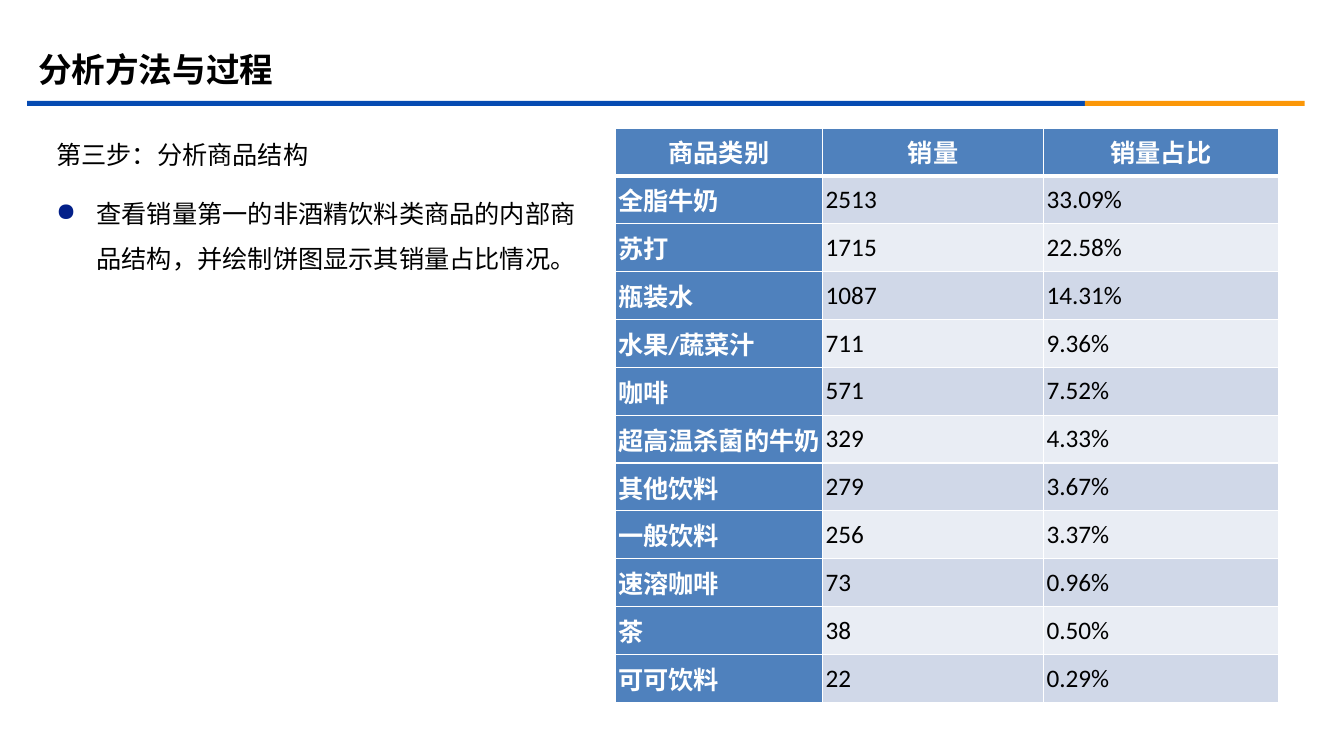
"""Builds the slide on the sales structure of the drinks category."""
from lxml.etree import SubElement
from pptx import Presentation
from pptx.dml.color import RGBColor
from pptx.enum.shapes import MSO_SHAPE
from pptx.enum.text import MSO_ANCHOR, PP_ALIGN
from pptx.oxml.ns import qn
from pptx.util import Inches, Pt

TITLE = "分析方法与过程"
STEP = "第三步：分析商品结构"
TASK = "查看销量第一的非酒精饮料类商品的内部商品结构，并绘制饼图显示其销量占比情况。"
SALES = [
    ("商品类别", "销量", "销量占比"),
    ("全脂牛奶", "2513", "33.09%"),
    ("苏打", "1715", "22.58%"),
    ("瓶装水", "1087", "14.31%"),
    ("水果/蔬菜汁", "711", "9.36%"),
    ("咖啡", "571", "7.52%"),
    ("超高温杀菌的牛奶", "329", "4.33%"),
    ("其他饮料", "279", "3.67%"),
    ("一般饮料", "256", "3.37%"),
    ("速溶咖啡", "73", "0.96%"),
    ("茶", "38", "0.50%"),
    ("可可饮料", "22", "0.29%"),
]
COL_WIDTHS = (2.06, 2.19, 2.33)
TABLE_LEFT, TABLE_TOP, TABLE_HEIGHT = 6.1, 1.27, 5.7
RULES = [(0.27, 10.49, "064BB2"), (10.76, 2.18, "FB9708")]
HEAD_FILL, BANDS = "4F81BD", ("E9EDF4", "D0D8E8")
CJK = "Noto Sans CJK SC"


def rgb(value):
    return RGBColor.from_string(value)


def write(p, text, size=18, font=CJK, color="000000", bold=False,
          align=None, spacing=None, before=None):
    r = p.add_run()
    r.text = text
    r.font.size, r.font.bold, r.font.name = Pt(size), bold, font
    r.font.color.rgb = rgb(color)
    SubElement(r._r.get_or_add_rPr(), qn("a:ea"), typeface=CJK)
    p.alignment, p.line_spacing = align, spacing
    if before is not None:
        p.space_before = Pt(before)


def add_box(s, left, top, width, height, anchor):
    tf = s.shapes.add_textbox(*map(Inches, (left, top, width, height))).text_frame
    tf.word_wrap, tf.vertical_anchor = True, anchor
    return tf


def add_bullet(p, char, color, indent):
    pPr = p._p.get_or_add_pPr()
    pPr.set("marL", str(Inches(indent)))
    pPr.set("indent", str(-Inches(indent)))
    clr = SubElement(pPr, qn("a:buClr"))
    SubElement(clr, qn("a:srgbClr"), val=color)
    SubElement(pPr, qn("a:buChar"), char=char)


def add_borders(cell, **widths):
    for side, width in widths.items():
        ln = SubElement(cell._tc.get_or_add_tcPr(), qn(f"a:ln{side}"), w=str(Pt(width)))
        SubElement(SubElement(ln, qn("a:solidFill")), qn("a:srgbClr"), val="FFFFFF")


def add_sales_table(s):
    frame = s.shapes.add_table(len(SALES), len(COL_WIDTHS), Inches(TABLE_LEFT),
                               Inches(TABLE_TOP), Inches(sum(COL_WIDTHS)),
                               Inches(TABLE_HEIGHT))
    table = frame.table
    for col, width in zip(table.columns, COL_WIDTHS):
        col.width = Inches(width)
    for i, row in enumerate(SALES):
        table.rows[i].height = Inches(TABLE_HEIGHT / len(SALES))
        for j, text in enumerate(row):
            cell = table.cell(i, j)
            head = i == 0 or j == 0
            cell.margin_left = cell.margin_right = Inches(0.03)
            cell.margin_top = cell.margin_bottom = 0
            cell.vertical_anchor = MSO_ANCHOR.MIDDLE
            add_borders(cell, L=1, R=1, T=3 if i == 1 else 1, B=3 if i == 0 else 1)
            cell.fill.solid()
            cell.fill.fore_color.rgb = rgb(HEAD_FILL if head else BANDS[i % 2])
            write(cell.text_frame.paragraphs[0], text, font="Calibri", bold=head,
                  color="FFFFFF" if head else "000000",
                  align=PP_ALIGN.JUSTIFY if i else PP_ALIGN.CENTER)


def main():
    prs = Presentation()
    prs.slide_width, prs.slide_height = Inches(13.33), Inches(7.5)
    s = prs.slides.add_slide(prs.slide_layouts[6])
    for left, width, color in RULES:
        sp = s.shapes.add_shape(MSO_SHAPE.RECTANGLE, Inches(left), Inches(1),
                                Inches(width), Inches(0.05))
        sp.shadow.inherit = False
        sp.fill.solid()
        sp.fill.fore_color.rgb = rgb(color)
        sp.line.fill.background()
    tf = add_box(s, 0.46, 1.18, 5.54, 5.52, MSO_ANCHOR.TOP)
    write(tf.paragraphs[0], STEP, spacing=1.5, before=10)
    p = tf.add_paragraph()
    write(p, TASK, spacing=1.5, before=10)
    add_bullet(p, "●", "032089", 0.4)
    tf = add_box(s, 0.28, 0.39, 12, 0.58, MSO_ANCHOR.MIDDLE)
    write(tf.paragraphs[0], TITLE, size=24, bold=True)
    add_sales_table(s)
    prs.save("out.pptx")


if __name__ == "__main__":
    main()
